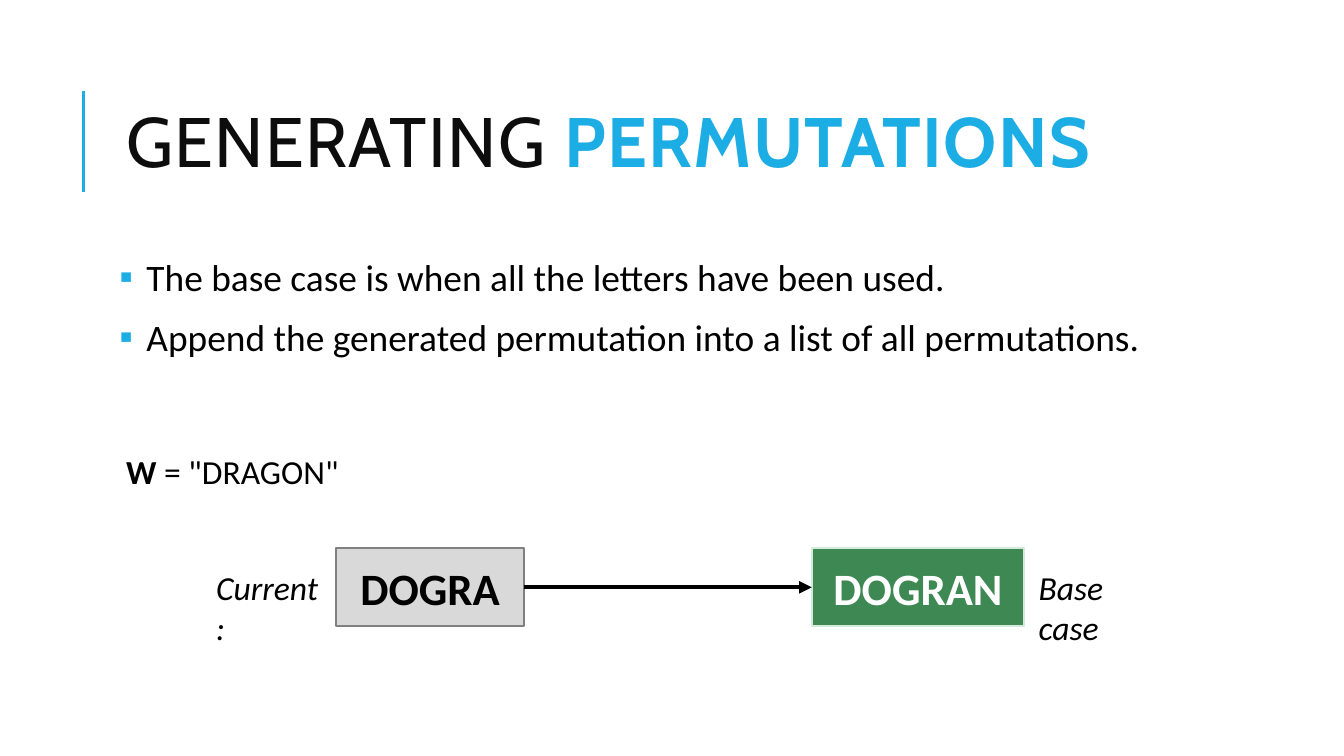
import dataclasses
import typing

import pptx
import pptx.dml.color
import pptx.enum.shapes
import pptx.enum.text
import pptx.oxml
import pptx.oxml.ns
import pptx.util

Inches = pptx.util.Inches
Pt = pptx.util.Pt
Anchor = pptx.enum.text.MSO_ANCHOR
Align = pptx.enum.text.PP_ALIGN


@dataclasses.dataclass(frozen=True)
class Theme:
    accent: str = "1CADE4"
    title: str = "0D0D0D"
    ink: str = "000000"
    title_font: str = "Cabin"
    body_font: str = "Calibri"
    title_size: float = 37.5
    body_size: float = 20
    label_size: float = 18
    word_size: float = 24


@dataclasses.dataclass(frozen=True)
class Span:
    text: str
    size: float
    color: str
    font: str = "Calibri"
    bold: bool = False
    italic: bool = False


@dataclasses.dataclass(frozen=True)
class Label:
    left: float
    top: float
    width: float
    spans: typing.Tuple[Span, ...]


@dataclasses.dataclass(frozen=True)
class WordBox:
    text: str
    left: float
    width: float
    fill: str
    line: str
    color: str


THEME = Theme()
TEXT_LEFT, TEXT_WIDTH = 0.84, 7.97
BOX_TOP, BOX_HEIGHT = 4.08, 0.58
LABEL_TOP, LABEL_HEIGHT = 4.17, 0.4


def rgb(value: str) -> pptx.dml.color.RGBColor:
    return pptx.dml.color.RGBColor.from_string(value)


def add_xml(parent: typing.Any, tag: str, **attributes: str) -> None:
    element = pptx.oxml.parse_xml(f"<a:{tag} {pptx.oxml.ns.nsdecls('a')}/>")
    for name, value in attributes.items():
        element.set(name, value)
    parent.append(element)


def write_spans(paragraph: typing.Any, spans: typing.Iterable[Span]) -> None:
    for span in spans:
        run = paragraph.add_run()
        run.text = span.text
        run.font.name = span.font
        run.font.size = Pt(span.size)
        run.font.bold = span.bold
        run.font.italic = span.italic
        run.font.color.rgb = rgb(span.color)


def add_text_box(page: typing.Any, left: float, top: float, width: float, height: float) -> typing.Any:
    box = page.shapes.add_textbox(Inches(left), Inches(top), Inches(width), Inches(height))
    box.text_frame.word_wrap = True
    return box.text_frame


def add_line(page: typing.Any, start: typing.Tuple[float, float], end: typing.Tuple[float, float],
             color: str, width: float, arrow: bool = False) -> None:
    line = page.shapes.add_connector(pptx.enum.shapes.MSO_CONNECTOR.STRAIGHT,
                                     *map(Inches, start + end))
    line.line.color.rgb = rgb(color)
    line.line.width = Pt(width)
    if arrow:
        add_xml(line.line._get_or_add_ln(), "tailEnd", type="triangle")
    add_xml(line._element.spPr, "effectLst")


def add_title(page: typing.Any, spans: typing.Iterable[Span]) -> None:
    frame = add_text_box(page, TEXT_LEFT, 0.48, TEXT_WIDTH, 1.23)
    frame.vertical_anchor = Anchor.MIDDLE
    paragraph = frame.paragraphs[0]
    paragraph.line_spacing = 0.8
    write_spans(paragraph, spans)
    for run in paragraph.runs:
        run.font._element.set("spc", "75")


def add_bullets(page: typing.Any, lines: typing.Sequence[str]) -> None:
    frame = add_text_box(page, TEXT_LEFT, 1.88, TEXT_WIDTH, 1.16)
    frame.margin_left = frame.margin_right = Inches(0.05)
    frame.margin_top = frame.margin_bottom = Inches(0.05)
    frame.text = "\n".join(lines)
    for paragraph in frame.paragraphs:
        paragraph.line_spacing = 0.9
        paragraph.space_before, paragraph.space_after = Pt(9), Pt(1.5)
        font = paragraph.runs[0].font
        font.name, font.size = THEME.body_font, Pt(THEME.body_size)
        font.color.rgb = rgb(THEME.ink)
        properties = paragraph._element.get_or_add_pPr()
        properties.set("marL", str(Inches(0.2)))
        properties.set("indent", str(Inches(-0.2)))
        properties.append(pptx.oxml.parse_xml(
            f'<a:buClr {pptx.oxml.ns.nsdecls("a")}><a:srgbClr val="{THEME.accent}"/></a:buClr>'))
        add_xml(properties, "buFont", typeface=THEME.body_font)
        add_xml(properties, "buChar", char="▪")


def add_label(page: typing.Any, label: Label) -> None:
    frame = add_text_box(page, label.left, label.top, label.width, LABEL_HEIGHT)
    write_spans(frame.paragraphs[0], label.spans)


def add_word_box(page: typing.Any, word: WordBox) -> None:
    box = page.shapes.add_shape(pptx.enum.shapes.MSO_SHAPE.RECTANGLE, Inches(word.left),
                                Inches(BOX_TOP), Inches(word.width), Inches(BOX_HEIGHT))
    box.shadow.inherit = False
    box.fill.solid()
    box.fill.fore_color.rgb = rgb(word.fill)
    box.line.color.rgb = rgb(word.line)
    box.line.width = Pt(1.25)
    box.text_frame.vertical_anchor = Anchor.MIDDLE
    paragraph = box.text_frame.paragraphs[0]
    paragraph.alignment = Align.CENTER
    write_spans(paragraph, [Span(word.text, THEME.word_size, word.color, bold=True)])


def label_span(text: str, bold: bool = False, italic: bool = False) -> Span:
    return Span(text, THEME.label_size, THEME.ink, THEME.body_font, bold, italic)


# Widescreen page, 16 to 9
deck = pptx.Presentation()
deck.slide_width = Inches(10)
deck.slide_height = Inches(10 * 9 / 16)
page = deck.slides.add_slide(deck.slide_layouts[6])

# Heading with its accent rule
add_line(page, (0.62, 1.43), (0.62, 0.68), THEME.accent, 1.5)
add_title(page, [
    Span("GENERATING ", THEME.title_size, THEME.title, THEME.title_font),
    Span("PERMUTATIONS", THEME.title_size, THEME.accent, THEME.title_font, bold=True),
])

# Explanation
add_bullets(page, [
    "The base case is when all the letters have been used.",
    "Append the generated permutation into a list of all permutations.",
])

# Step from the current word to the base case
current = WordBox("DOGRA", 2.5, 1.4, "D9D9D9", "808080", THEME.ink)
base_case = WordBox("DOGRAN", 6.04, 1.58, "3E8853", "D4EBDB", "FFFFFF")
for word in (current, base_case):
    add_word_box(page, word)
middle = BOX_TOP + BOX_HEIGHT / 2
add_line(page, (current.left + current.width, middle), (base_case.left, middle),
         THEME.ink, 2.25, arrow=True)

# Labels
for label in (
    Label(TEXT_LEFT, 3.31, 1.92, (label_span("W", bold=True), label_span(' = "DRAGON"'))),
    Label(7.63, LABEL_TOP, 1.14, (label_span("Base case", italic=True),)),
    Label(1.51, LABEL_TOP, 0.99, (label_span("Current:", italic=True),)),
):
    add_label(page, label)

deck.save("out.pptx")
